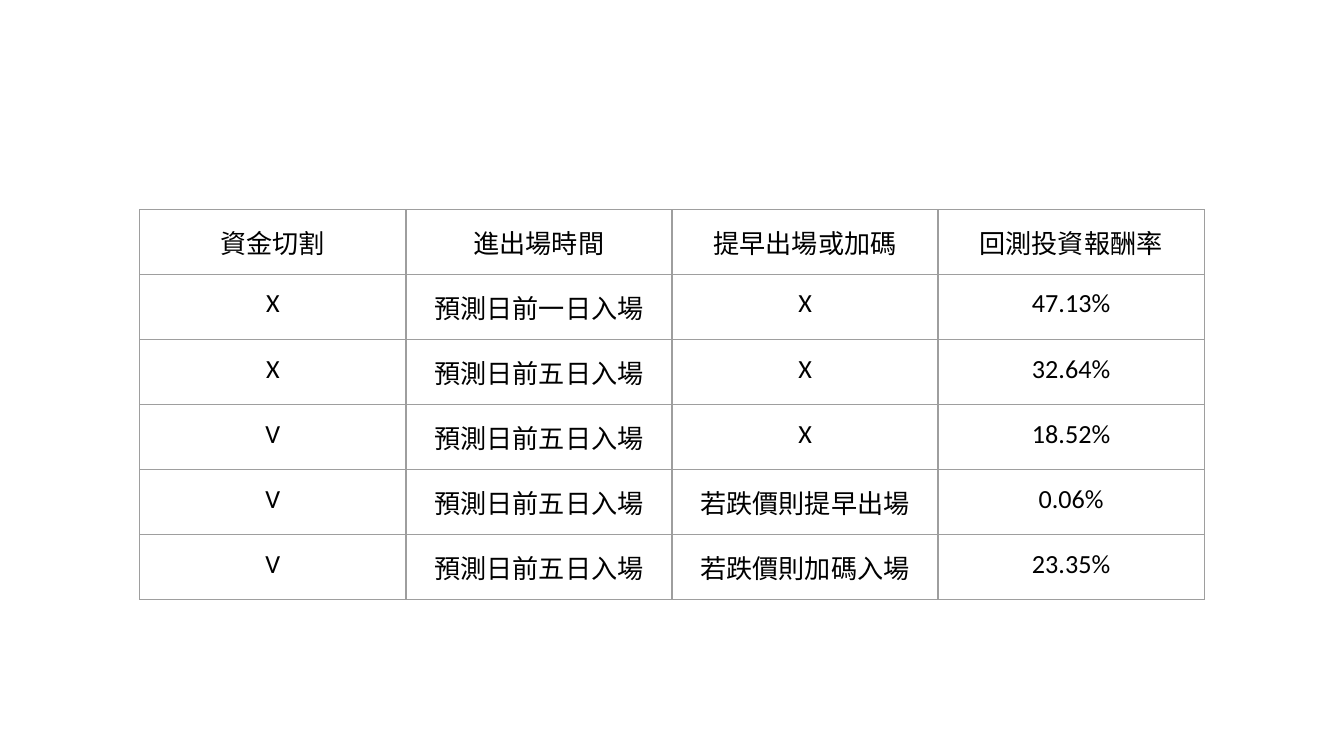
"""Build a slide with a table comparing backtested returns of trading strategies."""
from typing import NamedTuple

from lxml import etree
from pptx import Presentation
from pptx import util as u
from pptx.dml.color import RGBColor
from pptx.enum import text
from pptx.oxml import ns

BLACK = RGBColor(0x00, 0x00, 0x00)
GRID_GREY = RGBColor(0x9E, 0x9E, 0x9E)
FONT = "Calibri"
SLIDE_WIDTH = 10
SLIDE_HEIGHT = SLIDE_WIDTH * 9 / 16
LEFT, TOP = 1.04, 1.56
COLUMN_WIDTH, ROW_HEIGHT = 1.98, 0.42
CELL_MARGIN = u.Inches(0.1)


class Strategy(NamedTuple):
    capital_split: str
    entry_time: str
    early_action: str
    backtest_return: str


HEADINGS = Strategy("資金切割", "進出場時間", "提早出場或加碼", "回測投資報酬率")
STRATEGIES = [
    Strategy("X", "預測日前一日入場", "X", "47.13%"),
    Strategy("X", "預測日前五日入場", "X", "32.64%"),
    Strategy("V", "預測日前五日入場", "X", "18.52%"),
    Strategy("V", "預測日前五日入場", "若跌價則提早出場", "0.06%"),
    Strategy("V", "預測日前五日入場", "若跌價則加碼入場", "23.35%"),
]


def write_text(frame, wording: str, *, size: float = 14, color: RGBColor = BLACK,
               align=text.PP_ALIGN.CENTER) -> None:
    paragraph = frame.paragraphs[0]
    paragraph.alignment = align
    run = paragraph.add_run()
    run.text = wording
    run.font.size = u.Pt(size)
    run.font.name = FONT
    run.font.color.rgb = color


def draw_borders(cell, *, color: RGBColor = GRID_GREY, width: float = 0.75) -> None:
    properties = cell._tc.get_or_add_tcPr()
    for position, side in enumerate(("lnL", "lnR", "lnT", "lnB")):
        border = etree.Element(ns.qn(f"a:{side}"), w=str(u.Pt(width)))
        fill = etree.SubElement(border, ns.qn("a:solidFill"))
        etree.SubElement(fill, ns.qn("a:srgbClr"), val=str(color))
        properties.insert(position, border)


def format_cell(cell, wording: str) -> None:
    cell.margin_left = cell.margin_right = CELL_MARGIN
    cell.margin_top = cell.margin_bottom = CELL_MARGIN
    cell.fill.background()
    draw_borders(cell)
    write_text(cell.text_frame, wording)


def add_strategy_table(slide, entries: list[Strategy]) -> None:
    row_count, column_count = len(entries), len(HEADINGS)
    table = slide.shapes.add_table(
        row_count, column_count, u.Inches(LEFT), u.Inches(TOP),
        u.Inches(COLUMN_WIDTH * column_count), u.Inches(ROW_HEIGHT * row_count)).table
    table.first_row = table.horz_banding = False
    for row, entry in enumerate(entries):
        for column, wording in enumerate(entry):
            format_cell(table.cell(row, column), wording)


def main() -> None:
    deck = Presentation()
    deck.slide_width, deck.slide_height = u.Inches(SLIDE_WIDTH), u.Inches(SLIDE_HEIGHT)
    slide = deck.slides.add_slide(deck.slide_layouts[6])
    add_strategy_table(slide, [HEADINGS, *STRATEGIES])
    deck.save("out.pptx")


if __name__ == "__main__":
    main()
